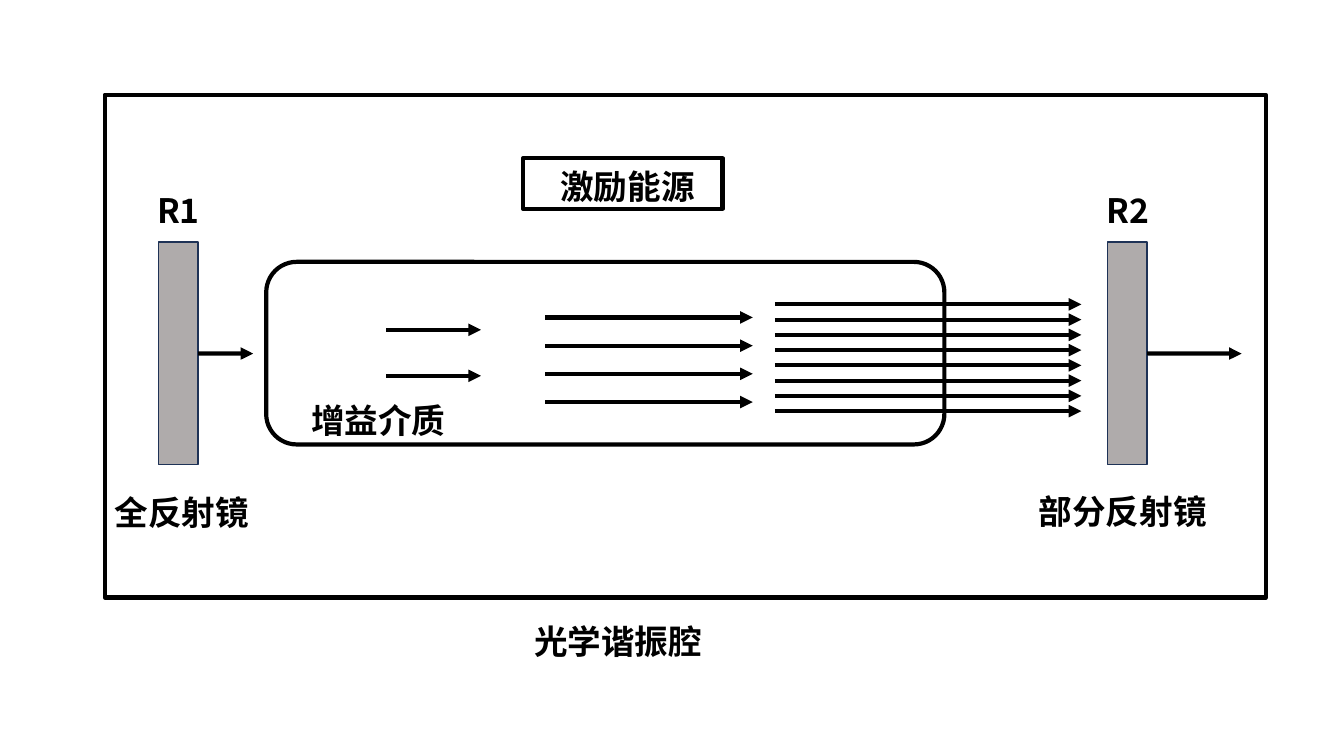
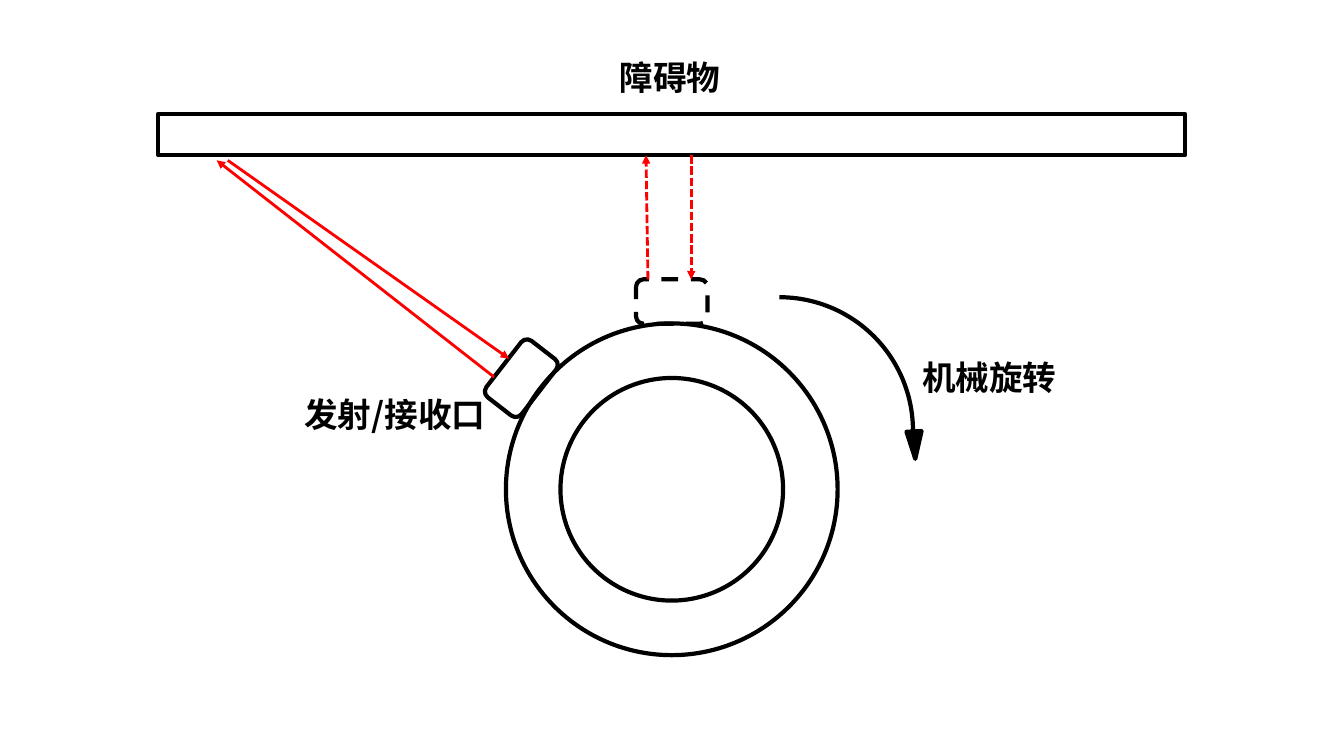
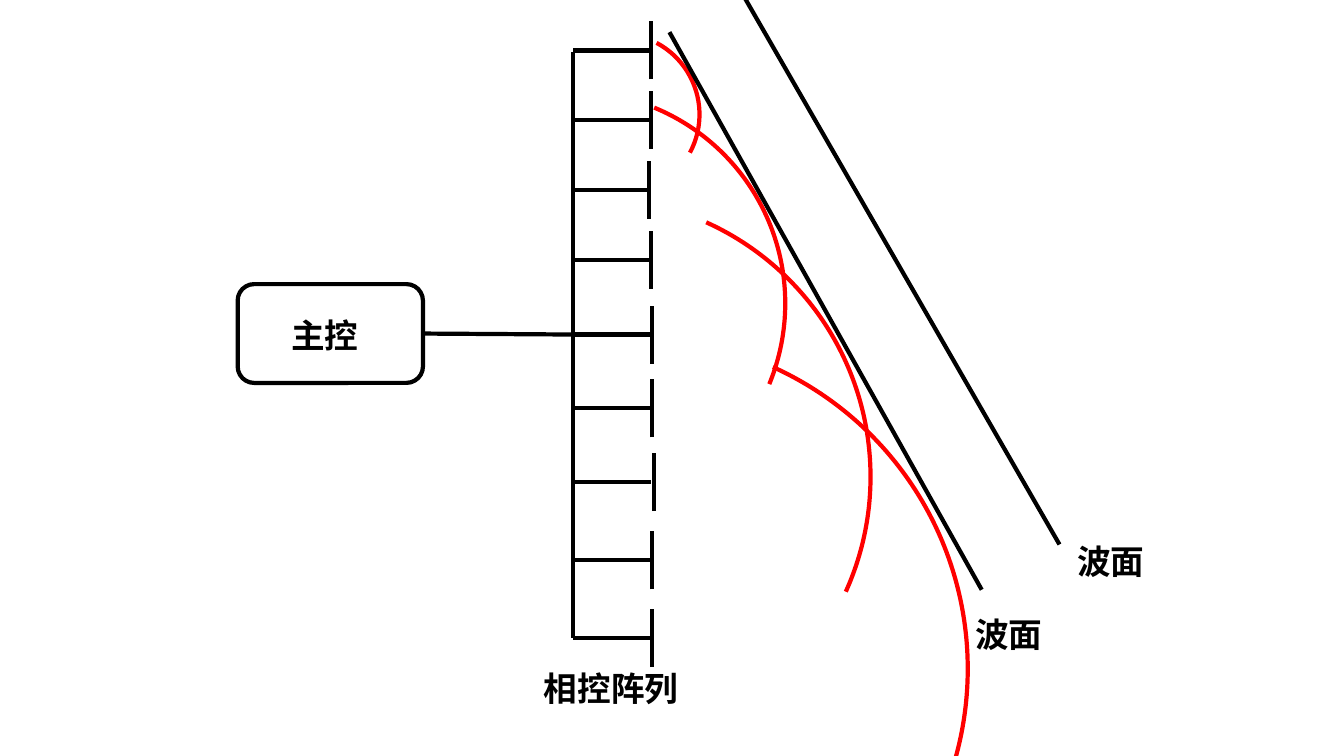
from pptx import Presentation, util as u
from pptx.dml.color import RGBColor as Rgb
from pptx.enum import shapes, text, dml
from pptx.oxml import ns
from lxml import etree

look = {
    "ink": Rgb(0, 0, 0),
    "beam": Rgb(255, 0, 0),
    "glass": Rgb(0xAF, 0xAB, 0xAB),
    "rim": Rgb(0x1E, 0x32, 0x56),
    "wide": 3,
    "mid": 2,
    "thin": 1,
    "font": {"name": "Noto Sans CJK SC", "size": u.Pt(24), "bold": True},
}
Kind = shapes.MSO_SHAPE
Dash = dml.MSO_LINE


def draw(page, kind, box, tint="ink", fill=None, wide="wide", dash=None, turn=0):
    item = page.shapes.add_shape(kind, *map(u.Cm, box))
    item.shadow.inherit = False
    item.rotation = turn
    if fill:
        item.fill.solid()
        item.fill.fore_color.rgb = look[fill]
    else:
        item.fill.background()
    item.line.color.rgb = look[tint]
    for key, val in {"width": u.Pt(look[wide]), "dash_style": dash}.items():
        setattr(item.line, key, val)
    return item


def link(page, ends, tint="ink", wide="wide", dash=None, head=True, base=None):
    item = page.shapes.add_connector(shapes.MSO_CONNECTOR.STRAIGHT, *map(u.Cm, ends))
    if base:
        item.begin_connect(base, 3)
    item.line.color.rgb = look[tint]
    for key, val in {"width": u.Pt(look[wide]), "dash_style": dash}.items():
        setattr(item.line, key, val)
    prop = item._element.spPr
    if head:
        etree.SubElement(prop.find(ns.qn("a:ln")), ns.qn("a:tailEnd"), type="triangle")
    etree.SubElement(prop, ns.qn("a:effectLst"))


deck = Presentation()
deck.slide_width, deck.slide_height = u.Cm(33.87), u.Cm(19.05)
laser, lidar, array = [deck.slides.add_slide(deck.slide_layouts[6]) for _ in range(3)]

draw(laser, Kind.RECTANGLE, (2.64, 2.39, 29.26, 12.67))
draw(laser, Kind.ROUNDED_RECTANGLE, (6.71, 6.6, 17.09, 4.6))
draw(laser, Kind.RECTANGLE, (13.18, 3.99, 5.03, 1.27))
for left, end in [(3.99, 6.38), (27.91, 31.29)]:
    glass = draw(laser, Kind.RECTANGLE, (left, 6.1, 1, 5.61), "rim", "glass", "thin")
    link(laser, (left + 1, 8.91, end, 8.91), base=glass)
for count, left, right, top, low in [
    (2, 9.73, 12.12, 8.31, 9.47),
    (4, 13.74, 18.97, 8, 10.13),
    (8, 19.53, 27.25, 7.67, 10.36),
]:
    for i in range(count):
        y = top + (low - top) * i / (count - 1)
        link(laser, (left, y, right, y))

for size in (5.61, 8.36):
    draw(lidar, Kind.OVAL, (16.93 - size / 2, 12.33 - size / 2, size, size))
draw(lidar, Kind.ARC, (16.28, 7.49, 6.73, 6.73))
draw(lidar, Kind.ISOSCELES_TRIANGLE, (22.86, 10.87, 0.38, 0.69), fill="ink", turn=177.3)
draw(lidar, Kind.ROUNDED_RECTANGLE, (12.24, 8.97, 1.8, 1.12), turn=307.8)
draw(lidar, Kind.ROUNDED_RECTANGLE, (16.03, 7.04, 1.8, 1.12), dash=Dash.DASH)
draw(lidar, Kind.RECTANGLE, (3.99, 2.87, 25.88, 1.04))
for ends, dash in [
    ((12.45, 9.5, 5.46, 4.04), None),
    ((5.74, 4.04, 12.83, 9.04), None),
    ((16.33, 7.04, 16.28, 3.91), Dash.SQUARE_DOT),
    ((17.42, 3.91, 17.42, 7.04), Dash.SQUARE_DOT),
]:
    link(lidar, ends, "beam", "mid", dash)

link(array, (14.45, 1.32, 14.45, 16.08), head=False)
for x, y in [
    (16.41, 1.27), (16.41, 3.02), (16.36, 4.78),
    (16.41, 6.55), (16.43, 8.43), (16.43, 10.29),
    (16.48, 12.15), (16.43, 14.12), (16.43, 16.08),
]:
    link(array, (14.45, y, 16.41, y), head=False)
    link(array, (x, y + 0.73, x, y - 0.73), head=False)
for left, top, size, turn in [
    (13.54, 0.84, 4.09, 28.1),
    (9.12, 2.31, 10.67, 22.4),
    (7.87, 4.98, 14.07, 24.3),
    (7.7, 8.51, 16.69, 24.3),
]:
    draw(array, Kind.ARC, (left, top, size, size), "beam", turn=turn)
for ends in [(16.87, 0.81, 24.74, 14.86), (18.77, -0.05, 26.7, 13.72)]:
    link(array, ends, head=False)
main = draw(array, Kind.ROUNDED_RECTANGLE, (5.99, 7.16, 4.67, 2.49))
link(array, (10.66, 8.41, 14.5, 8.43), head=False, base=main)

for page, words, left, top, width in [
    (laser, "R1", 3.71, 4.65, 2.03),
    (laser, "全反射镜", 2.64, 12.27, 4.19),
    (laser, "R2", 27.64, 4.65, 2.03),
    (laser, "部分反射镜", 25.93, 12.24, 5.94),
    (laser, "光学谐振腔", 13.21, 15.52, 5.11),
    (laser, "激励能源", 13.87, 4.06, 5.11),
    (laser, "增益介质", 7.59, 9.96, 5.11),
    (lidar, "机械旋转", 22.99, 8.86, 5.11),
    (lidar, "发射/接收口", 7.42, 9.8, 5.66),
    (lidar, "障碍物", 15.37, 1.32, 5.66),
    (array, "主控", 7.09, 7.82, 3.86),
    (array, "相控阵列", 13.46, 16.71, 4.22),
    (array, "波面", 24.33, 15.34, 4.22),
    (array, "波面", 26.9, 13.51, 4.22),
]:
    frame = page.shapes.add_textbox(*map(u.Cm, (left, top, width, 1.27))).text_frame
    frame.word_wrap = True
    frame.auto_size = text.MSO_AUTO_SIZE.SHAPE_TO_FIT_TEXT
    run = frame.paragraphs[0].add_run()
    run.text = words
    run.font.color.rgb = look["ink"]
    for key, val in look["font"].items():
        setattr(run.font, key, val)
    prop = run._r.get_or_add_rPr()
    etree.SubElement(prop, ns.qn("a:ea"), typeface=look["font"]["name"])

deck.save("out.pptx")
